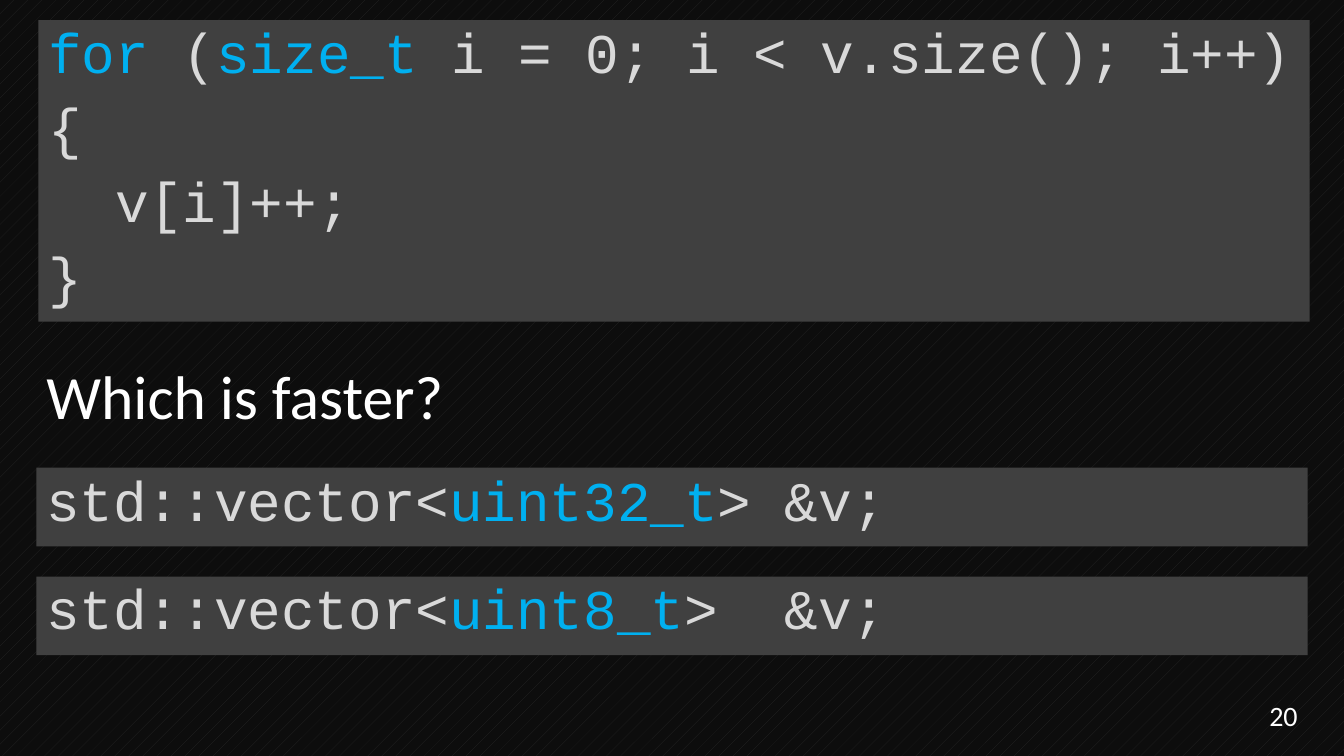
from pptx import Presentation
from pptx.dml.color import RGBColor
from pptx.enum.dml import MSO_PATTERN
from pptx.enum.shapes import MSO_SHAPE
from pptx.enum.text import MSO_ANCHOR, MSO_AUTO_SIZE, PP_ALIGN
from pptx.util import Inches, Pt
from lxml import etree

LEFT, RIGHT = PP_ALIGN.LEFT, PP_ALIGN.RIGHT
TOP, MID = MSO_ANCHOR.TOP, MSO_ANCHOR.MIDDLE
RECT, DOTS, FIXED = MSO_SHAPE.RECTANGLE, MSO_PATTERN.PERCENT_5, MSO_AUTO_SIZE.NONE

HEX = {"back": "0D0D0D", "dots": "262626", "panel": "404040",
       "code": "D9D9D9", "key": "00B0F0", "white": "FFFFFF"}

# Left edge and width shared by the panels, in inches
EDGE, WIDE = 0.36, 12.61

LOOP = [
    [("for", "key"), (" (", "code"), ("size_t ", "key"),
     ("i = 0; i < v.size(); i++)", "code")],
    [("{", "code")],
    [("  v[i]++;", "code")],
    [("}", "code")],
]
TYPES = [("uint32_t", "> &v;"), ("uint8_t", ">  &v;")]


def color(name):
    return RGBColor.from_string(HEX[name])


def place(shape, left, top, width, height):
    shape.left, shape.top = Inches(left), Inches(top)
    shape.width, shape.height = Inches(width), Inches(height)


def write(shape, lines, font="Calibri", size=40, align=LEFT, anchor=TOP,
          space=1.0, before=0):
    """Fill a shape with lines, each a list of (text, colour name)."""
    frame = shape.text_frame
    frame.word_wrap = True
    frame.auto_size = FIXED
    frame.vertical_anchor = anchor
    for n, line in enumerate(lines):
        para = frame.add_paragraph() if n else frame.paragraphs[0]
        para.alignment = align
        para.line_spacing = space
        para.space_before = Pt(before)
        for text, tint in line:
            run = para.add_run()
            run.text = text
            run.font.name = font
            run.font.size = Pt(size)
            run.font.color.rgb = color(tint)


def panel(shape, lines):
    """Turn a shape into a grey block of code."""
    shape.fill.solid()
    shape.fill.fore_color.rgb = color("panel")
    shape.line.fill.background()
    write(shape, lines, font="Courier New", space=0.9, before=10)


def unlist(shape):
    """Take bullets and indents off a body placeholder."""
    for para in shape.text_frame.paragraphs:
        props = para._p.get_or_add_pPr()
        props.set("marL", "0")
        props.set("indent", "0")
        etree.SubElement(props, props.tag.replace("pPr", "buNone"))


def main():
    deck = Presentation()
    deck.slide_width, deck.slide_height = Inches(13.33), Inches(7.5)
    slide = deck.slides.add_slide(deck.slide_layouts[1])

    # Dotted dark background
    fill = slide.background.fill
    fill.patterned()
    fill.pattern = DOTS
    fill.fore_color.rgb = color("dots")
    fill.back_color.rgb = color("back")

    # Loop
    body = slide.placeholders[1]
    place(body, EDGE + 0.02, 0.2, WIDE, 2.99)
    panel(body, LOOP)
    unlist(body)

    # Question
    title = slide.shapes.title
    place(title, EDGE, 3.5, 4.28, 0.84)
    write(title, [[("Which is faster?", "white")]], size=44)

    # Candidate declarations
    for n, (kind, tail) in enumerate(TYPES):
        box = slide.shapes.add_shape(RECT, 0, 0, 0, 0)
        box.shadow.inherit = False
        place(box, EDGE, 4.64 + 1.08 * n, WIDE, 0.78)
        panel(box, [[("std::vector<", "code"), (kind, "key"), (tail, "code")]])

    # Page number
    page = slide.shapes.add_textbox(0, 0, 0, 0)
    place(page, 11.84, 6.9, 1.13, 0.4)
    write(page, [[("20", "white")]], size=20, align=RIGHT, anchor=MID)

    deck.save("out.pptx")


if __name__ == "__main__":
    main()
